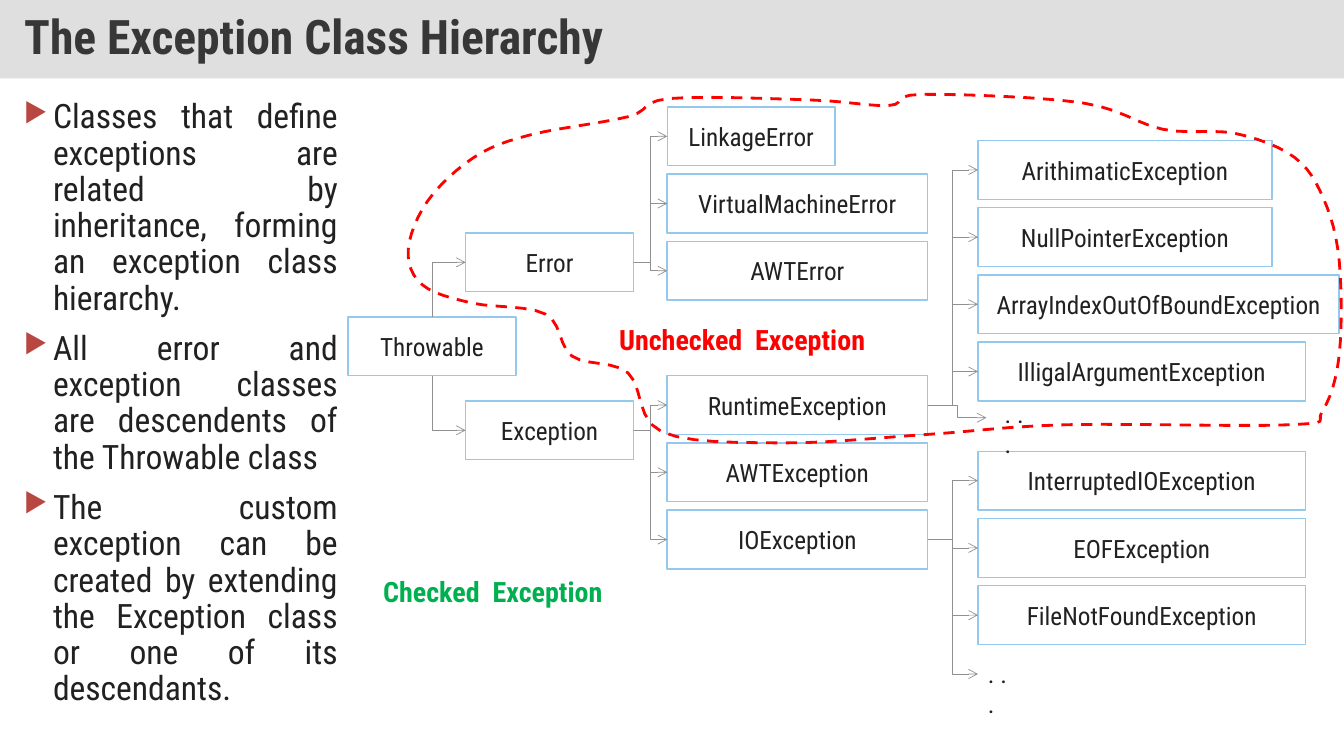
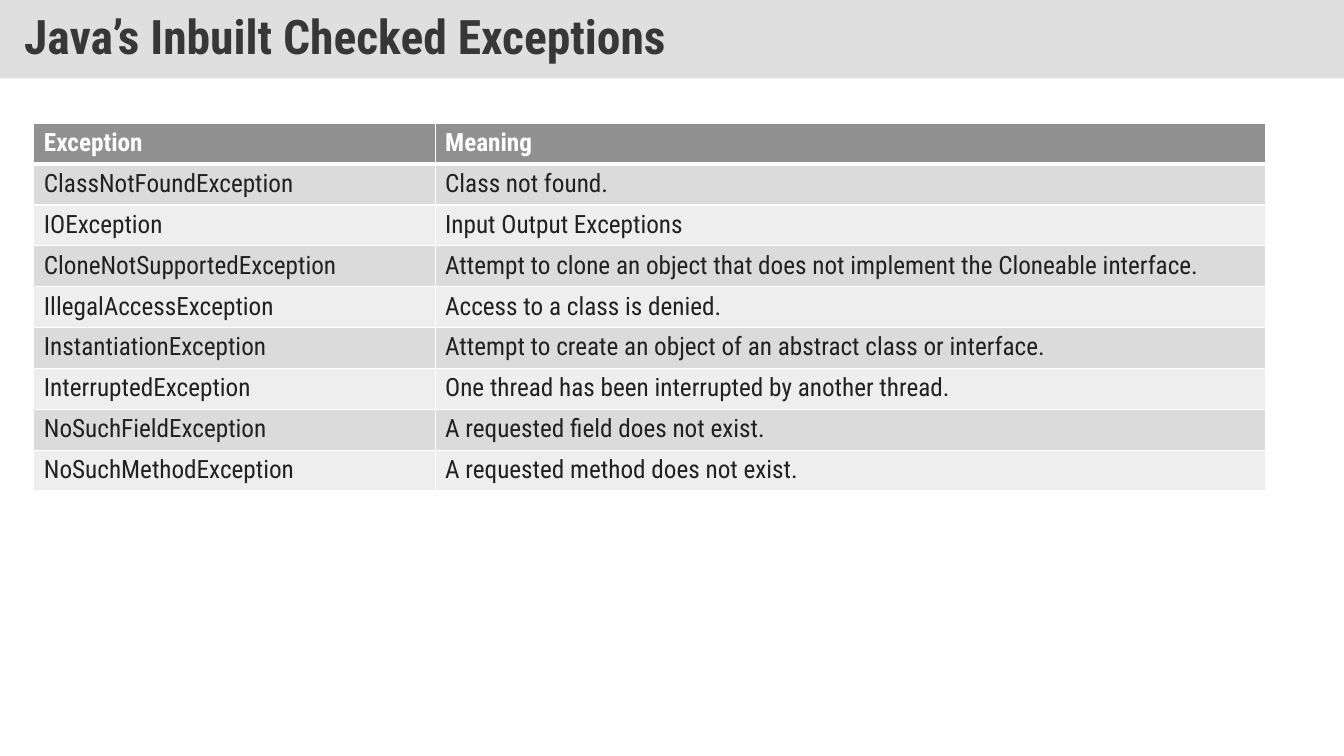
import pptx
import pptx.util
import pptx.dml.color
import pptx.enum.dml
import pptx.enum.shapes
import pptx.enum.text
import pptx.oxml.ns
import lxml.etree

Pt = pptx.util.Pt
qn = pptx.oxml.ns.qn
ELBOW = pptx.enum.shapes.MSO_CONNECTOR.ELBOW
RECT = pptx.enum.shapes.MSO_SHAPE.RECTANGLE
ALIGN = pptx.enum.text.PP_ALIGN
MIDDLE = pptx.enum.text.MSO_ANCHOR.MIDDLE
TOP, LEFT, BOTTOM, RIGHT = range(4)

FONT = "Roboto Condensed"
INK, TITLE_INK, BAND = "212121", "373737", "C0C0C0"
BULLET, BOX_LINE, GRAY = "B84742", "94C8ED", "909090"
RED, GREEN, WHITE = "FF0000", "00B050", "FFFFFF"
STRIPES = ("EEEEEE", "DBDBDB")
SLIDE_W, SLIDE_H = 960, 540

BOX_H, ROW_PITCH = 42, 48
LEVEL_X = (0, 84, 228, 450)
ROOT, ROOT_TOP, ROOT_W = "Throwable", 150, 120
# parent, level, top of first child, pitch, children with their widths
BRANCHES = [
    ("Throwable", 1, 90, 120, [("Error", 120), ("Exception", 120)]),
    ("Error", 2, 0, ROW_PITCH,
     [("LinkageError", 120), ("VirtualMachineError", 186), ("AWTError", 186)]),
    ("Exception", 2, 192, ROW_PITCH,
     [("RuntimeException", 186), ("AWTException", 186), ("IOException", 186)]),
    ("RuntimeException", 3, 24, ROW_PITCH,
     [("ArithimaticException", 210), ("NullPointerException", 210),
      ("ArrayIndexOutOfBoundException", 258), ("IlligalArgumentException", 234)]),
    ("IOException", 3, 246, ROW_PITCH,
     [("InterruptedIOException", 234), ("EOFException", 234),
      ("FileNotFoundException", 234)]),
]
# parent, arrow tip, text corner
MORE = [("RuntimeException", (456, 222), (462, 204.4)),
        ("IOException", (450, 405), (450, 390.2))]
# text, left, top, width, colour
LABELS = [("Unchecked  Exception", 186.5, 150.4, 198, RED),
          ("Checked  Exception", 18, 330.4, 176, GREEN)]
# clockwise: the box passed, and bends measured from its top left corner
UNCHECKED_ROUTE = {
    "Error": [(57, 58), (4, 50), (-31, 37), (-41, 12), (-27, -23), (6, -54), (46, -70)],
    "LinkageError": [(-28, 7), (2, -6), (102, -5), (158, -1), (182, -9)],
    "ArithimaticException": [(74, -27), (132, -8), (184, -5), (226, 12), (247, 42)],
    "ArrayIndexOutOfBoundException": [(258, -10), (258, 57)],
    "IlligalArgumentException": [(246, 49), (224, 59), (63, 59)],
    "RuntimeException": [(185, 42), (82, 48), (-4, 40), (-28, -2), (-68, -14)],
}
CURVE_STEPS = 6
POINTS = [
    "Classes that define exceptions are related by inheritance, forming an exception "
    "class hierarchy.",
    "All error and exception classes are descendents of the Throwable class",
    "The custom exception can be created by extending the Exception class or one of "
    "its descendants.",
]
CHECKED = [
    ("Exception", "Meaning"),
    ("ClassNotFoundException", "Class not found."),
    ("IOException", "Input Output Exceptions"),
    ("CloneNotSupportedException",
     "Attempt to clone an object that does not implement the Cloneable interface."),
    ("IllegalAccessException", "Access to a class is denied."),
    ("InstantiationException",
     "Attempt to create an object of an abstract class or interface."),
    ("InterruptedException", "One thread has been interrupted by another thread."),
    ("NoSuchFieldException", "A requested field does not exist."),
    ("NoSuchMethodException", "A requested method does not exist."),
]


def rgb(value):
    return pptx.dml.color.RGBColor.from_string(value)


def sub(parent, tag, **attrs):
    """Append an XML child with the given attributes."""
    el = lxml.etree.SubElement(parent, qn(tag))
    for name, value in attrs.items():
        el.set(name, str(value))
    return el


def write(p, text, size, color=INK, bold=False, align=ALIGN.LEFT):
    p.text = text
    p.alignment = align
    for r in p.runs:
        r.font.name = FONT
        r.font.size = Pt(size)
        r.font.bold = bold
        r.font.color.rgb = rgb(color)


def set_line(line, color, width):
    line.color.rgb = rgb(color)
    line.width = Pt(width)


def text_box(s, x, y, w, h):
    tf = s.shapes.add_textbox(Pt(x), Pt(y), Pt(w), Pt(h)).text_frame
    tf.word_wrap = True
    return tf


def new_slide(prs, title):
    """Add a blank slide with the shared title band."""
    s = prs.slides.add_slide(prs.slide_layouts[6])
    sp = s.shapes.add_shape(RECT, 0, 0, Pt(SLIDE_W), Pt(56))
    sp.shadow.inherit = False
    sp.line.fill.background()
    sp.fill.solid()
    sp.fill.fore_color.rgb = rgb(BAND)
    sub(sp.element.spPr.find(qn("a:solidFill"))[0], "a:alpha", val=50000)
    tf = sp.text_frame
    tf.word_wrap = True
    tf.vertical_anchor = MIDDLE
    tf.margin_left = tf.margin_right = Pt(17.28)
    tf.margin_top = tf.margin_bottom = Pt(8.64)
    write(tf.paragraphs[0], title, 34, TITLE_INK, True)
    tf.paragraphs[0].line_spacing = 0.9
    return s


def bullet_list(s, x, y, w, h, items):
    tf = text_box(s, x, y, w, h)
    indent = Pt(20.8)
    for i, item in enumerate(items):
        p = tf.add_paragraph() if i else tf.paragraphs[0]
        write(p, item, 24, align=ALIGN.JUSTIFY)
        p.line_spacing = 0.9
        p.space_before = Pt(10)
        pPr = p._p.get_or_add_pPr()
        pPr.set("marL", str(indent))
        pPr.set("indent", str(-indent))
        sub(sub(pPr, "a:buClr"), "a:srgbClr", val=BULLET)
        sub(pPr, "a:buSzPct", val=80000)
        sub(pPr, "a:buChar", char="▶")


def class_box(s, x, y, w, name):
    sp = s.shapes.add_shape(RECT, Pt(x), Pt(y), Pt(w), Pt(BOX_H))
    sp.shadow.inherit = False
    sp.fill.background()
    set_line(sp.line, BOX_LINE, 1)
    sp.text_frame.word_wrap = True
    sp.text_frame.vertical_anchor = MIDDLE
    write(sp.text_frame.paragraphs[0], name, 18, align=ALIGN.CENTER)
    return sp


def elbow(s, arrow_end, x=0, y=0):
    """Add an elbow connector at a point, with its arrow at headEnd or tailEnd."""
    c = s.shapes.add_connector(ELBOW, Pt(x), Pt(y), Pt(x), Pt(y))
    set_line(c.line, GRAY, 0.5)
    sub(c.element.spPr.find(qn("a:ln")), "a:" + arrow_end, type="arrow")
    sub(c.element.spPr, "a:effectLst")
    return c


def root_arrow(s, root, child):
    """Draw one corner from the child's left side back to the root's top or bottom."""
    c = elbow(s, "headEnd")
    c.element.spPr.find(qn("a:prstGeom")).set("prst", "bentConnector2")
    c.begin_connect(child, LEFT)
    c.end_connect(root, TOP if child.top < root.top else BOTTOM)


def branch_arrow(s, parent, child):
    c = elbow(s, "tailEnd")
    c.begin_connect(parent, RIGHT)
    c.end_connect(child, LEFT)


def spline(a, b, c, d, t):
    """Catmull-Rom value between b and c, for t from 0 to 1."""
    return b + t / 2 * (c - a + t * (2 * a - 5 * b + 4 * c - d
                                     + t * (3 * (b - c) + d - a)))


def smooth_loop(bends):
    """Return points on a closed curve through all the bends."""
    n = len(bends)
    curve = []
    for i in range(n):
        xs, ys = zip(*(bends[(i + k) % n] for k in (-1, 0, 1, 2)))
        for step in range(CURVE_STEPS):
            t = step / CURVE_STEPS
            curve.append((round(spline(*xs, t)), round(spline(*ys, t))))
    return curve


def dashed_loop(s, boxes, route):
    """Draw a dashed curve around the boxes that the route names."""
    bends = [(boxes[name].left + Pt(dx), boxes[name].top + Pt(dy))
             for name, offsets in route.items() for dx, dy in offsets]
    start, *rest = smooth_loop(bends)
    fb = s.shapes.build_freeform(*start)
    fb.add_line_segments(rest, close=True)
    sp = fb.convert_to_shape()
    sp.shadow.inherit = False
    sp.fill.background()
    set_line(sp.line, RED, 2)
    sp.line.dash_style = pptx.enum.dml.MSO_LINE.DASH


def class_tree(s, x, y):
    """Draw boxes and arrows level by level and return the boxes by name."""
    boxes = {ROOT: class_box(s, x + LEVEL_X[0], y + ROOT_TOP, ROOT_W, ROOT)}
    for parent, level, top, pitch, children in BRANCHES:
        join = root_arrow if parent == ROOT else branch_arrow
        for i, (name, w) in enumerate(children):
            boxes[name] = class_box(s, x + LEVEL_X[level], y + top + i * pitch, w, name)
            join(s, boxes[parent], boxes[name])
    for parent, (tip_x, tip_y), (left, top) in MORE:
        c = elbow(s, "tailEnd", x + tip_x, y + tip_y)
        c.begin_connect(boxes[parent], RIGHT)
        tf = text_box(s, x + left, y + top, 36.5, 29)
        write(tf.paragraphs[0], ". . .", 18)
    return boxes


def region_labels(s, x, y):
    for label, left, top, w, color in LABELS:
        tf = text_box(s, x + left, y + top, w, 31.5)
        write(tf.paragraphs[0], label, 20, color, True)


def fill_cell(cell, text, row):
    header = row == 0
    tcPr = cell._tc.get_or_add_tcPr()
    for side in "LRTB":
        thick = (row, side) in ((0, "B"), (1, "T"))
        ln = sub(tcPr, "a:ln" + side, w=Pt(3 if thick else 1))
        sub(sub(ln, "a:solidFill"), "a:srgbClr", val=WHITE)
    cell.fill.solid()
    cell.fill.fore_color.rgb = rgb(GRAY if header else STRIPES[row % 2])
    write(cell.text_frame.paragraphs[0], text, 18, WHITE if header else INK, header)


def exception_table(s, x, y, col_widths, row_h, rows):
    table = s.shapes.add_table(len(rows), len(col_widths), Pt(x), Pt(y),
                               Pt(sum(col_widths)), Pt(row_h * len(rows))).table
    for col, w in zip(table.columns, col_widths):
        col.width = Pt(w)
    for i, texts in enumerate(rows):
        table.rows[i].height = Pt(row_h)
        for j, text in enumerate(texts):
            fill_cell(table.cell(i, j), text, i)


def hierarchy_slide(prs):
    s = new_slide(prs, "The Exception Class Hierarchy")
    bullet_list(s, 10, 67.7, 238.4, 440, POINTS)
    tree_x, tree_y = 248.6, 76.4
    boxes = class_tree(s, tree_x, tree_y)
    dashed_loop(s, boxes, UNCHECKED_ROUTE)
    region_labels(s, tree_x, tree_y)


def checked_slide(prs):
    s = new_slide(prs, "Java’s Inbuilt Checked Exceptions")
    exception_table(s, 24.2, 88, (286.6, 593.4), 29.2, CHECKED)


def main():
    prs = pptx.Presentation()
    prs.slide_width, prs.slide_height = Pt(SLIDE_W), Pt(SLIDE_H)
    hierarchy_slide(prs)
    checked_slide(prs)
    prs.save("out.pptx")


if __name__ == "__main__":
    main()
